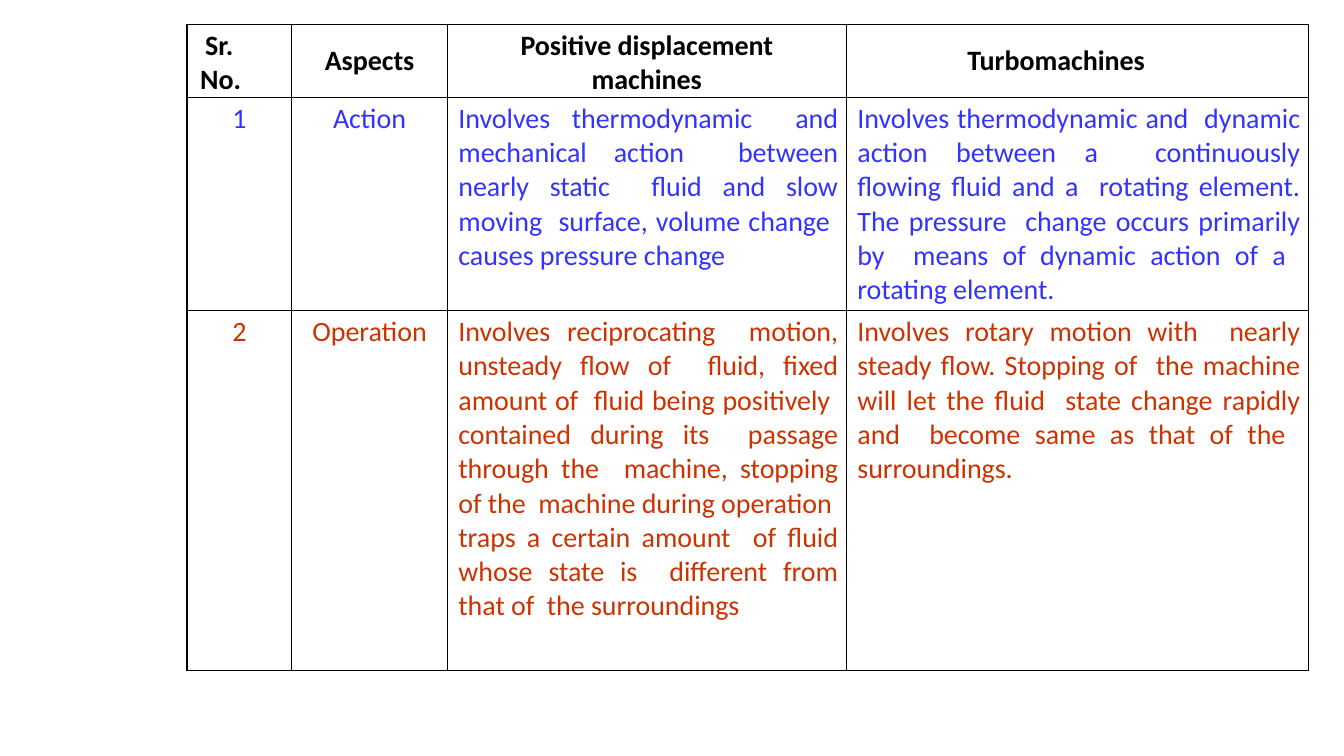
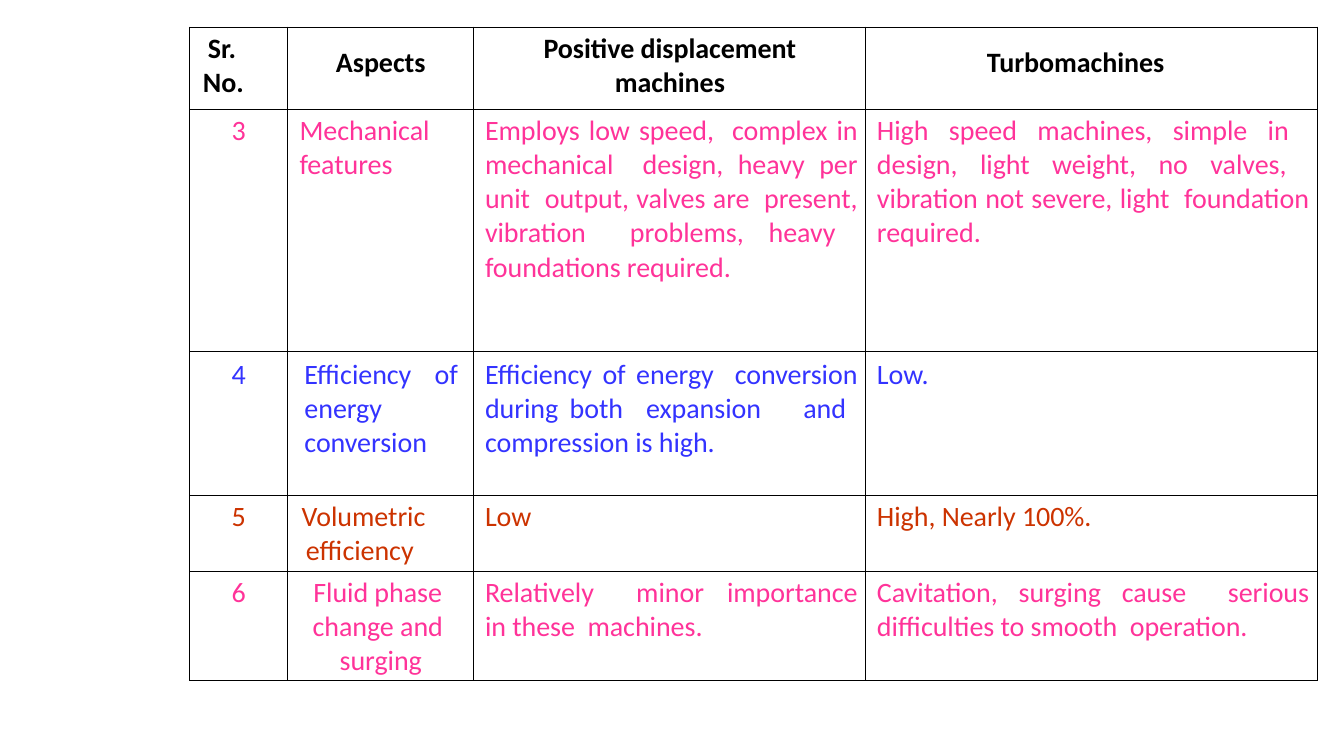
from dataclasses import dataclass
from typing import Optional

from lxml.etree import SubElement
from pptx import Presentation
from pptx.dml.color import RGBColor
from pptx.enum.text import MSO_ANCHOR, PP_ALIGN as Align
from pptx.oxml.ns import qn
from pptx.util import Pt

# Shared style
FONT, SIZE, SPACING = "Calibri", 20, -0.05
BLACK, BLUE, RED, PINK = "000000", "3333FF", "CC3300", "FF3399"
BORDER_WIDTH = 1
BORDER_SIDES = ("a:lnL", "a:lnR", "a:lnT", "a:lnB")
LINE_INSET, CENTRED_INSET, ROOMY_INSET = 3, 13.5, 4.5


@dataclass(frozen=True)
class Line:
    text: str
    align: Align = Align.LEFT
    left: float = 0
    right: float = 0
    first: float = 0
    tab: Optional[float] = None


@dataclass(frozen=True)
class Cell:
    lines: tuple[Line, ...]
    inset: float = LINE_INSET


@dataclass(frozen=True)
class Row:
    height: float
    cells: tuple[Cell, ...]
    color: str = BLACK
    bold: bool = False


@dataclass(frozen=True)
class Comparison:
    left: float
    top: float
    columns: tuple[float, ...]
    rows: tuple[Row, ...]


def centred(text: str) -> Line:
    return Line(text, Align.CENTER)


def justified(text: str, tab: Optional[float] = None) -> Line:
    return Line(text, Align.JUSTIFY, left=8, right=6, tab=tab)


def header(height: float) -> Row:
    return Row(height, (
        Cell((Line("Sr.", left=13), Line("No.", left=9.5))),
        Cell((centred("Aspects"),), CENTRED_INSET),
        Cell((centred("Positive displacement"), centred("machines"))),
        Cell((Line("Turbomachines", left=86.5),), CENTRED_INSET),
    ), bold=True)


def entry(height: float, color: str, number: int, aspect: tuple[Line, ...],
          positive: Line, turbo: Line, inset: float = LINE_INSET) -> Row:
    contents = ((centred(str(number)),), aspect, (positive,), (turbo,))
    return Row(height, tuple(Cell(lines, inset) for lines in contents), color)


# Content
COMPARISONS = (
    Comparison(133.5, 17.5, (75, 111, 285, 330), (
        header(49),
        entry(152.5, BLUE, 1, (centred("Action"),),
              justified("Involves thermodynamic  and mechanical action  between "
                        "nearly static  fluid and slow moving  surface, volume "
                        "change  causes pressure change"),
              justified("Involves thermodynamic and  dynamic action between a  "
                        "continuously flowing fluid and a  rotating element. The "
                        "pressure  change occurs primarily by  means of dynamic "
                        "action of a  rotating element.")),
        entry(257, RED, 2, (centred("Operation"),),
              justified("Involves reciprocating  motion, unsteady flow of  fluid, "
                        "fixed amount of  fluid being positively  contained during "
                        "its  passage through the  machine, stopping of the  "
                        "machine during operation  traps a certain amount  of "
                        "fluid whose state is  different from that of  the "
                        "surroundings"),
              justified("Involves rotary motion with  nearly steady flow. Stopping "
                        "of  the machine will let the fluid  state change rapidly "
                        "and  become same as that of the  surroundings.")),
    )),
    Comparison(135.5, 19.5, (70, 133, 280, 322.5), (
        header(58.5),
        entry(173, PINK, 3,
              (Line("Mechanical", left=8.5), Line("features", left=8.5)),
              justified("Employs low speed,  complex in mechanical  design, heavy "
                        "per unit  output, valves are  present, vibration  "
                        "problems,\theavy  foundations required.", tab=178),
              justified("High speed machines, simple in  design, light weight, no "
                        "valves,  vibration not severe, light  foundation "
                        "required.")),
        entry(103, BLUE, 4,
              (Line("Efficiency  of energy  conversion", Align.JUSTIFY, 12, 11.5),),
              justified("Efficiency of energy  conversion during both  "
                        "expansion\tand  compression is high.", tab=197.5),
              Line("Low.", left=8), ROOMY_INSET),
        entry(54, RED, 5, (Line("Volumetric  efficiency", left=13, first=-3),),
              Line("Low", left=8), Line("High, Nearly 100%.", left=8)),
        entry(78, PINK, 6,
              (Line("Fluid phase  change and  surging", Align.CENTER, 8, 8),),
              justified("Relatively\tminor  importance in these  machines.",
                        tab=180.5),
              justified("Cavitation, surging cause  serious difficulties to "
                        "smooth  operation.")),
    )),
)


# Drawing
def rgb(color: str) -> RGBColor:
    return RGBColor.from_string(color)


def write_text(paragraph, text: str, *, color: str, bold: bool, align: Align,
               left: float, right: float, first: float,
               tab: Optional[float]) -> None:
    paragraph.alignment = align
    properties = paragraph._p.get_or_add_pPr()
    for name, length in (("marL", left), ("marR", right), ("indent", first)):
        properties.set(name, str(Pt(length)))
    if tab is not None:
        stops = SubElement(properties, qn("a:tabLst"))
        SubElement(stops, qn("a:tab"), pos=str(Pt(tab)), algn="l")
    run = paragraph.add_run()
    run.text = text
    font = run.font
    font.name, font.size, font.bold = FONT, Pt(SIZE), bold
    font.color.rgb = rgb(color)
    run._r.get_or_add_rPr().set("spc", str(round(SPACING * 100)))


def add_borders(table_cell) -> None:
    properties = table_cell._tc.get_or_add_tcPr()
    for position, side in enumerate(BORDER_SIDES):
        border = SubElement(properties, qn(side), w=str(Pt(BORDER_WIDTH)))
        fill = SubElement(border, qn("a:solidFill"))
        SubElement(fill, qn("a:srgbClr"), val=BLACK)
        properties.insert(position, border)  # borders precede the fill


def fill_cell(table_cell, cell: Cell, row: Row) -> None:
    table_cell.margin_left = table_cell.margin_right = Pt(0)
    table_cell.margin_top, table_cell.margin_bottom = Pt(cell.inset), Pt(0)
    table_cell.vertical_anchor = MSO_ANCHOR.TOP
    table_cell.fill.background()
    add_borders(table_cell)
    frame = table_cell.text_frame
    for index, line in enumerate(cell.lines):
        paragraph = frame.add_paragraph() if index else frame.paragraphs[0]
        write_text(paragraph, line.text, color=row.color, bold=row.bold,
                   align=line.align, left=line.left, right=line.right,
                   first=line.first, tab=line.tab)


def add_comparison(slide, comparison: Comparison) -> None:
    rows, columns = comparison.rows, comparison.columns
    table = slide.shapes.add_table(
        len(rows), len(columns), Pt(comparison.left), Pt(comparison.top),
        Pt(sum(columns)), Pt(sum(row.height for row in rows))).table
    table.first_row = table.horz_banding = False
    for column, width in zip(table.columns, columns):
        column.width = Pt(width)
    for table_row, row in zip(table.rows, rows):
        table_row.height = Pt(row.height)
        for table_cell, cell in zip(table_row.cells, row.cells):
            fill_cell(table_cell, cell, row)


def main() -> None:
    presentation = Presentation()
    presentation.slide_width, presentation.slide_height = Pt(960), Pt(540)
    blank = presentation.slide_layouts[6]
    for comparison in COMPARISONS:
        add_comparison(presentation.slides.add_slide(blank), comparison)
    presentation.save("out.pptx")


if __name__ == "__main__":
    main()
